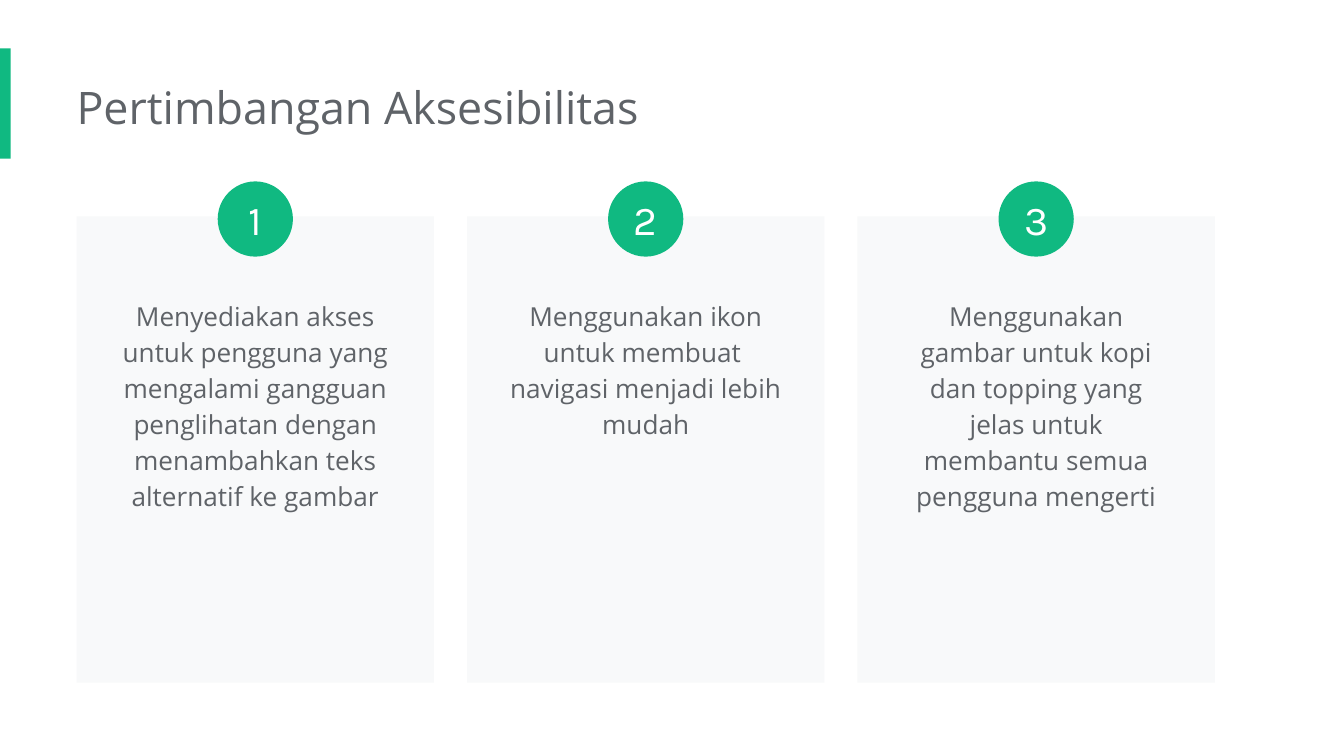
from pptx import Presentation
from pptx.dml.color import RGBColor
from pptx.enum.shapes import MSO_SHAPE
from pptx.enum.text import MSO_ANCHOR, MSO_AUTO_SIZE, PP_ALIGN
from pptx.util import Inches, Pt

COLORS = {"accent": "10B981", "card": "F8F9FA", "text": "5F6368", "white": "FFFFFF"}
SLIDE_WIDTH = 10
SLIDE_HEIGHT = SLIDE_WIDTH * 9 / 16
TITLE_BOX = (0.57, 0.49, 7.66, 0.61)
ACCENT_BOX = (0, 0.36, 0.08, 0.82)
CARDS_BOX = (0.57, 1.61, 8.47, 3.47)
CARD_WIDTH = 2.66
BADGE_SIZE = 0.56
BADGE_RISE = 0.26
TEXT_WIDTH = 2.24
TEXT_DROP = 0.49

TITLE = "Pertimbangan Aksesibilitas"
CARDS = [
    (2.33, ["Menyediakan akses",
            "untuk pengguna yang mengalami gangguan penglihatan "
            "dengan menambahkan teks alternatif ke gambar"]),
    (1.79, ["Menggunakan ikon untuk membuat ",
            "navigasi menjadi lebih mudah"]),
    (2.33, ["Menggunakan",
            "gambar untuk kopi dan topping yang jelas untuk "
            "membantu semua pengguna mengerti"]),
]

TITLE_STYLE = {"font": {"name": "Open Sans", "size": Pt(24)}, "color": "text"}
BODY_STYLE = {
    "font": {"name": "Open Sans", "size": Pt(14)},
    "color": "text",
    "paragraph": {"alignment": PP_ALIGN.CENTER, "line_spacing": 1.15},
}
BADGE_STYLE = {
    "font": {"name": "Karla", "size": Pt(22)},
    "color": "white",
    "paragraph": {"alignment": PP_ALIGN.CENTER},
}


def set_attributes(target, values):
    """Set each named attribute on the target."""
    for name, value in values.items():
        setattr(target, name, value)


def write_text(shape, lines, style, margins, **frame_values):
    """Fill a shape with one styled paragraph per line."""
    frame = shape.text_frame
    sides = ("margin_left", "margin_top", "margin_right", "margin_bottom")
    set_attributes(frame, dict(zip(sides, map(Inches, margins))))
    set_attributes(frame, {"word_wrap": True, **frame_values})
    for index, line in enumerate(lines):
        paragraph = frame.add_paragraph() if index else frame.paragraphs[0]
        set_attributes(paragraph, style.get("paragraph", {}))
        run = paragraph.add_run()
        run.text = line
        set_attributes(run.font, style["font"])
        run.font.color.rgb = RGBColor.from_string(COLORS[style["color"]])


def add_block(slide, kind, box, color):
    """Add a flat filled shape without outline or shadow."""
    shape = slide.shapes.add_shape(kind, *map(Inches, box))
    shape.shadow.inherit = False
    shape.fill.solid()
    shape.fill.fore_color.rgb = RGBColor.from_string(COLORS[color])
    shape.line.fill.background()
    return shape


def add_text(slide, box, lines, style, margins):
    """Add a text box that grows with its text."""
    shape = slide.shapes.add_textbox(*map(Inches, box))
    write_text(shape, lines, style, margins,
               auto_size=MSO_AUTO_SIZE.SHAPE_TO_FIT_TEXT)


def add_header(slide, accent_box, title_box):
    """Place the accent bar and the slide title."""
    add_block(slide, MSO_SHAPE.RECTANGLE, accent_box, "accent")
    add_text(slide, title_box, [TITLE], TITLE_STYLE, (0, 0.1, 0.1, 0.1))


def add_card(slide, box, number, text_height, lines):
    """Place a card with its text and a numbered badge on the top edge."""
    left, top, width, height = box
    center = left + width / 2
    add_block(slide, MSO_SHAPE.RECTANGLE, box, "card")
    text_box = (center - TEXT_WIDTH / 2, top + TEXT_DROP, TEXT_WIDTH, text_height)
    add_text(slide, text_box, lines, BODY_STYLE, (0.1,) * 4)
    badge_box = (center - BADGE_SIZE / 2, top - BADGE_RISE, BADGE_SIZE, BADGE_SIZE)
    badge = add_block(slide, MSO_SHAPE.OVAL, badge_box, "accent")
    write_text(badge, [str(number)], BADGE_STYLE, (0,) * 4,
               vertical_anchor=MSO_ANCHOR.MIDDLE)


def add_cards(slide, box):
    """Spread the cards evenly across the box."""
    left, top, width, height = box
    pitch = (width - CARD_WIDTH) / (len(CARDS) - 1)
    for index, (text_height, lines) in enumerate(CARDS):
        card_box = (left + index * pitch, top, CARD_WIDTH, height)
        add_card(slide, card_box, index + 1, text_height, lines)


def main():
    """Build and save the presentation."""
    presentation = Presentation()
    presentation.slide_width = Inches(SLIDE_WIDTH)
    presentation.slide_height = Inches(SLIDE_HEIGHT)
    slide = presentation.slides.add_slide(presentation.slide_layouts[6])
    slide.background.fill.solid()
    slide.background.fill.fore_color.rgb = RGBColor.from_string(COLORS["white"])
    add_header(slide, ACCENT_BOX, TITLE_BOX)
    add_cards(slide, CARDS_BOX)
    presentation.save("out.pptx")


if __name__ == "__main__":
    main()
